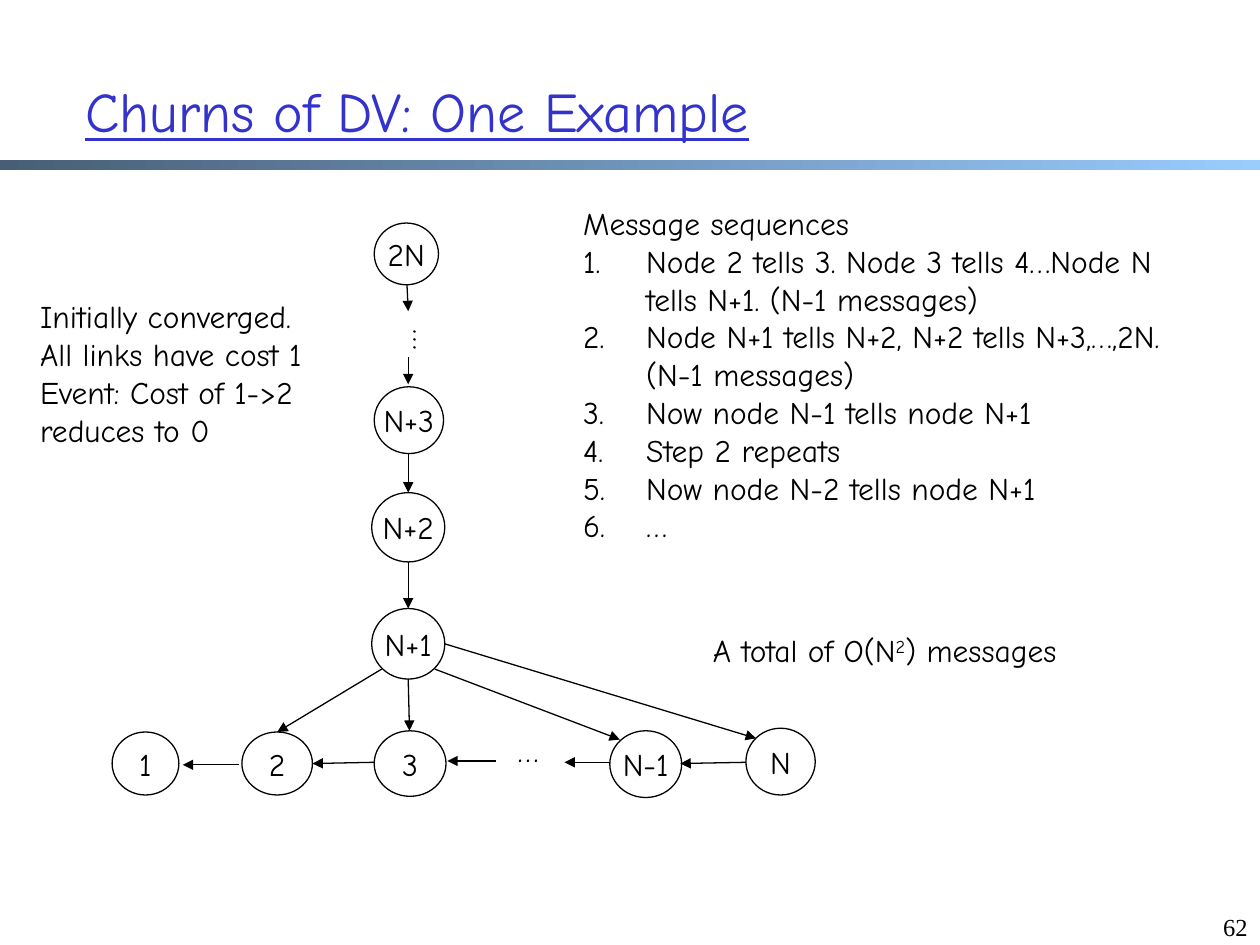
import pptx
import pptx.util
import pptx.dml.color
import pptx.enum.dml
import pptx.enum.shapes
import pptx.enum.text
import pptx.oxml.ns
import lxml.etree

Inches = pptx.util.Inches
Pt = pptx.util.Pt
RGBColor = pptx.dml.color.RGBColor
Align = pptx.enum.text.PP_ALIGN
Anchor = pptx.enum.text.MSO_ANCHOR
Preset = pptx.enum.shapes.MSO_SHAPE
qn = pptx.oxml.ns.qn

BLACK = RGBColor(0x00, 0x00, 0x00)
TITLE_BLUE = RGBColor(0x33, 0x33, 0xCC)
BAR_DARK = RGBColor(0x47, 0x5E, 0x76)
BAR_LIGHT = RGBColor(0x99, 0xCC, 0xFF)
BODY_FONT = "Comic Neue"
NUMBER_FONT = "Times New Roman"

# Label, then left, top, width, height inside the diagram box
NODES = [
    ("2N", 2.08, 0, 0.51, 0.49),
    ("N+3", 2.08, 1.3, 0.55, 0.53),
    ("N+2", 2.06, 2.14, 0.58, 0.55),
    ("N+1", 2.06, 3.06, 0.58, 0.56),
    ("1", 0, 4.04, 0.53, 0.5),
    ("2", 1.03, 4.04, 0.56, 0.5),
    ("3", 2.08, 4.03, 0.57, 0.52),
    ("N-1", 3.95, 4.03, 0.57, 0.53),
    ("N", 5.03, 4.01, 0.55, 0.53),
]

# Start x, y and end x, y inside the diagram box
ARROWS = [
    # Down the chain
    (2.34, 0.49, 2.35, 0.7),
    (2.35, 1.06, 2.35, 1.28),
    (2.35, 1.83, 2.35, 2.14),
    (2.35, 2.69, 2.35, 3.06),
    # Fan out from N+1
    (2.14, 3.54, 1.31, 4.04),
    (2.35, 3.62, 2.36, 4.03),
    (2.56, 3.54, 4.03, 4.1),
    (2.64, 3.34, 5.11, 4.09),
    # Along the bottom row
    (5.03, 4.28, 4.51, 4.29),
    (3.95, 4.28, 3.59, 4.28),
    (3.05, 4.27, 2.66, 4.27),
    (2.08, 4.28, 1.59, 4.29),
    (1.01, 4.3, 0.56, 4.3),
]

STEPS = [
    "Node 2 tells 3. Node 3 tells 4…Node N tells N+1. (N-1 messages)",
    "Node N+1 tells N+2, N+2 tells N+3,…,2N. (N-1 messages)",
    "Now node N-1 tells node N+1",
    "Step 2 repeats",
    "Now node N-2 tells node N+1",
    "…",
]


def add_run(paragraph, text, size=18, font=BODY_FONT, color=BLACK):
    run = paragraph.add_run()
    run.text = text
    run.font.size = Pt(size)
    run.font.name = font
    run.font.color.rgb = color
    return run


def add_text_box(slide, left, top, width, height, wrap=True):
    box = slide.shapes.add_textbox(Inches(left), Inches(top), Inches(width), Inches(height))
    box.text_frame.word_wrap = wrap
    return box.text_frame


def add_paragraphs(frame, texts):
    for index, text in enumerate(texts):
        paragraph = frame.paragraphs[0] if index == 0 else frame.add_paragraph()
        add_run(paragraph, text)


def add_node(slide, label, left, top, width, height):
    node = slide.shapes.add_shape(
        Preset.OVAL, Inches(left), Inches(top), Inches(width), Inches(height))
    node.shadow.inherit = False
    node.fill.background()
    node.line.color.rgb = BLACK
    node.line.width = Pt(0.75)
    frame = node.text_frame
    frame.word_wrap = False
    frame.vertical_anchor = Anchor.MIDDLE
    frame.margin_left = frame.margin_right = frame.margin_top = frame.margin_bottom = 0
    frame.paragraphs[0].alignment = Align.CENTER
    add_run(frame.paragraphs[0], label)


def add_arrow(slide, start_x, start_y, end_x, end_y):
    arrow = slide.shapes.add_connector(
        pptx.enum.shapes.MSO_CONNECTOR.STRAIGHT,
        Inches(start_x), Inches(start_y), Inches(end_x), Inches(end_y))
    arrow.line.color.rgb = BLACK
    arrow.line.width = Pt(0.75)
    lxml.etree.SubElement(arrow.line._get_or_add_ln(), qn("a:tailEnd"), type="triangle")
    lxml.etree.SubElement(arrow._element.spPr, qn("a:effectLst"))


def add_header(slide, left, top, width, height):
    # Gradient rule under the title
    bar = slide.shapes.add_shape(
        Preset.RECTANGLE, Inches(left), Inches(top + 1.27), Inches(width), Inches(0.08))
    bar.shadow.inherit = False
    bar.line.fill.background()
    bar.fill.gradient()
    bar.fill.gradient_angle = 0
    for stop, color in zip(bar.fill.gradient_stops, (BAR_DARK, BAR_LIGHT)):
        stop.color.rgb = color
    # Title
    frame = add_text_box(slide, left + 0.58, top + 0.25, width - 1.22, height - 0.25)
    frame.vertical_anchor = Anchor.MIDDLE
    run = add_run(frame.paragraphs[0], "Churns of DV: One Example", 32, color=TITLE_BLUE)
    run.font.underline = True


def add_diagram(slide, left, top):
    for label, x, y, width, height in NODES:
        add_node(slide, label, left + x, top + y, width, height)
    for start_x, start_y, end_x, end_y in ARROWS:
        add_arrow(slide, left + start_x, top + start_y, left + end_x, top + end_y)
    # Skipped nodes in the chain and in the row
    chain_gap = add_text_box(slide, left + 2.19, top + 0.75, 0.5, 0.27, wrap=False)
    chain_gap._txBody.bodyPr.set("vert", "eaVert")
    row_gap = add_text_box(slide, left + 3.12, top + 3.98, 0.37, 0.4, wrap=False)
    for frame in (chain_gap, row_gap):
        add_run(frame.paragraphs[0], "…")


def add_setup(slide, left, top, width, height):
    frame = add_text_box(slide, left, top, width, height)
    add_paragraphs(frame, ["Initially converged.", "All links have cost 1",
                           "Event: Cost of 1->2 reduces to 0"])


def add_sequence(slide, left, top, width, height):
    frame = add_text_box(slide, left, top, width, height)
    add_paragraphs(frame, ["Message sequences"] + STEPS)
    for index, paragraph in enumerate(frame.paragraphs):
        properties = paragraph._p.get_or_add_pPr()
        properties.set("marL", str(Inches(0.5)))
        properties.set("indent", str(-Inches(0.5)))
        if index > 0:
            lxml.etree.SubElement(properties, qn("a:buFont"), typeface=BODY_FONT)
            lxml.etree.SubElement(properties, qn("a:buAutoNum"), type="arabicPeriod")


def add_total(slide, left, top, width, height):
    frame = add_text_box(slide, left, top, width, height, wrap=False)
    paragraph = frame.paragraphs[0]
    add_run(paragraph, "A total of O(N")
    exponent = add_run(paragraph, "2")
    exponent.font._element.set("baseline", "30000")
    add_run(paragraph, ") messages")


def add_slide_number(slide, left, top, width, height):
    frame = add_text_box(slide, left, top, width, height)
    frame.paragraphs[0].alignment = Align.RIGHT
    add_run(frame.paragraphs[0], "62", 14, NUMBER_FONT)


def main():
    presentation = pptx.Presentation()
    presentation.slide_width = Inches(10)
    presentation.slide_height = Inches(7.5)
    slide = presentation.slides.add_slide(presentation.slide_layouts[6])
    add_header(slide, 0, 0, 10, 1.5)
    add_diagram(slide, 0.89, 1.77)
    add_setup(slide, 0.22, 2.31, 2.5, 1.31)
    add_sequence(slide, 4.53, 1.57, 4.79, 3.13)
    add_total(slide, 5.56, 4.96, 3.36, 0.4)
    add_slide_number(slide, 9.25, 7.19, 0.75, 0.31)
    presentation.save("out.pptx")


if __name__ == "__main__":
    main()
